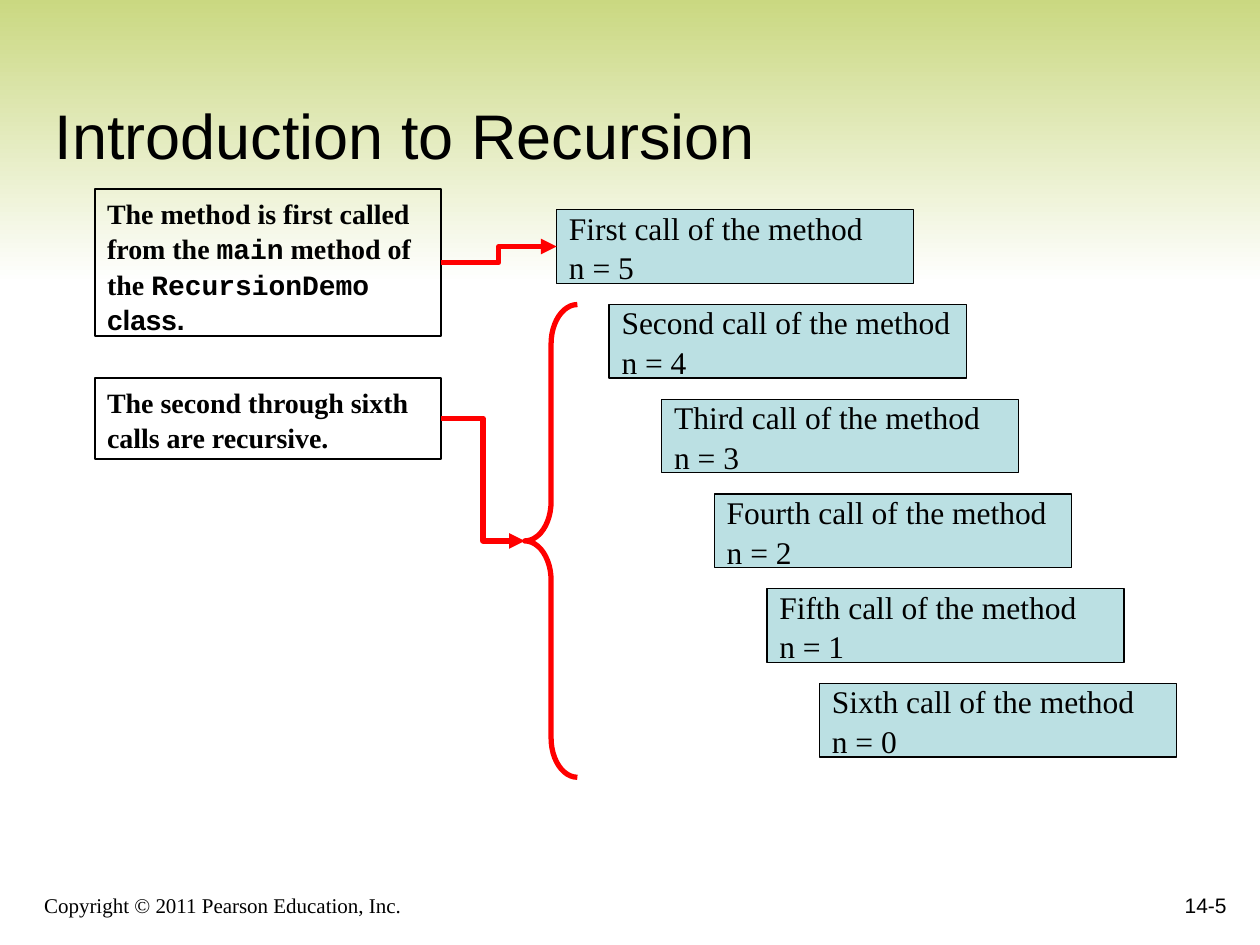
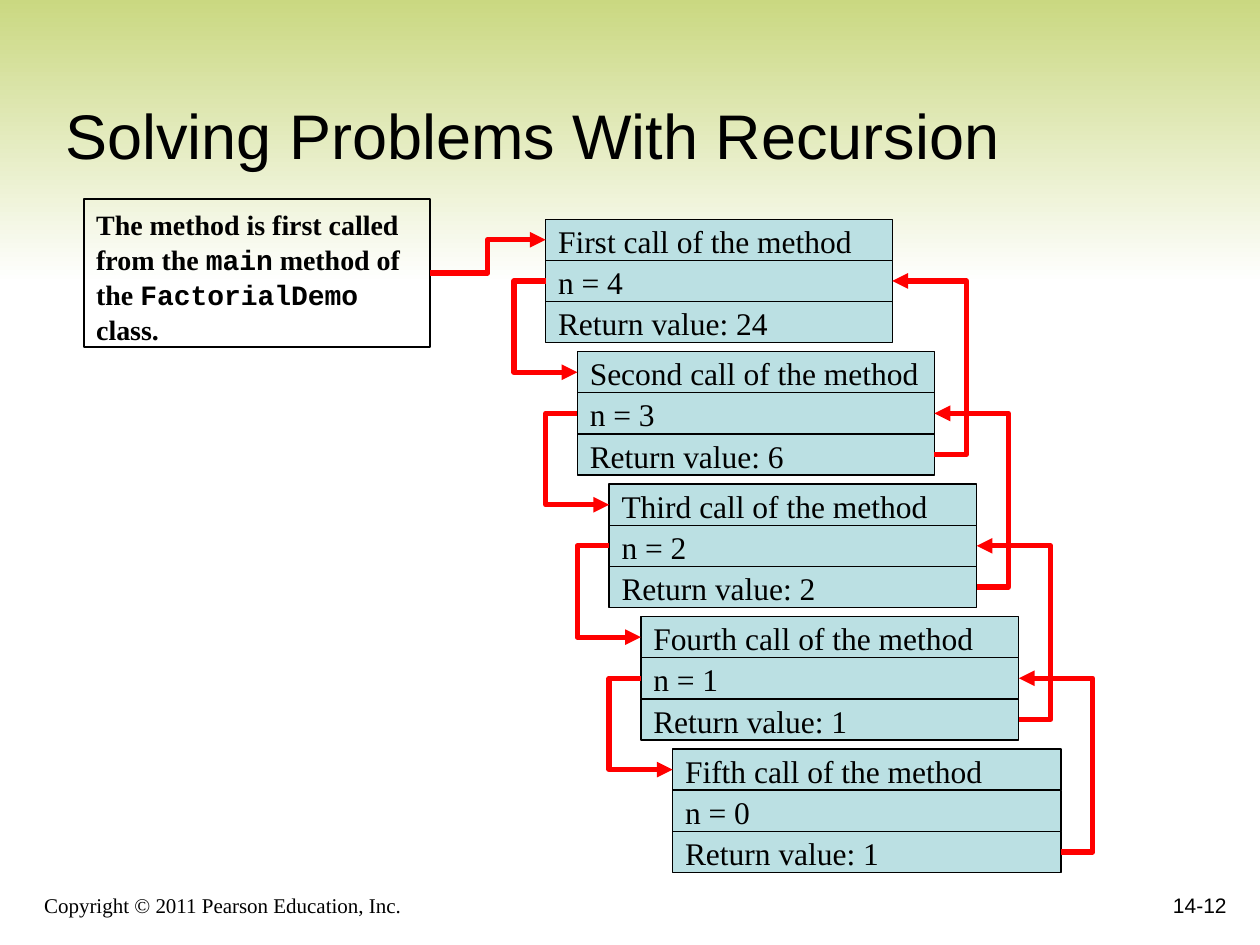
import collections
import dataclasses

import lxml.etree
import pptx
import pptx.dml.color
import pptx.enum.shapes
import pptx.enum.text
import pptx.oxml.ns
import pptx.util

Cm = pptx.util.Cm
Pt = pptx.util.Pt
RGB = pptx.dml.color.RGBColor.from_string
qn = pptx.oxml.ns.qn
SHAPES = pptx.enum.shapes.MSO_SHAPE
ANCHOR = pptx.enum.text.MSO_ANCHOR
ALIGN = pptx.enum.text.PP_ALIGN


@dataclasses.dataclass(frozen=True)
class Theme:
    ink: str = "000000"
    paper: str = "FFFFFF"
    band: str = "CAD881"
    call: str = "BBE0E3"
    arrow: str = "FF0000"
    serif: str = "Times New Roman"
    sans: str = "Arial"
    code: str = "Courier New"
    title_size: int = 36
    call_size: int = 18
    note_size: int = 16
    footer_size: int = 12
    call_line: float = 0.75
    note_line: float = 1
    arrow_line: float = 3
    spacing: float = 1.05


THEME = Theme()

Area = collections.namedtuple("Area", "left top width height")

COPYRIGHT = "Copyright © 2011 Pearson Education, Inc."
COPYRIGHT_AREA = Area(0.64, 17.57, 15.45, 1.06)
NUMBER_AREA = Area(19.69, 17.36, 5.29, 1.27)
BAND_AREA = Area(0, 0, 25.4, 5.72)

INTRO = {
    "title": "Introduction to Recursion",
    "title_area": Area(0.85, 0.85, 23.92, 2.75),
    "number": "14-5",
    "first_note": [[
        ("The method is first called from the ", THEME.serif),
        ("main", THEME.code),
        (" method of the ", THEME.serif),
        ("RecursionDemo ", THEME.code),
        ("class.", THEME.sans),
    ]],
    "first_note_area": Area(1.91, 3.81, 6.98, 2.97),
    "recursive_note": ["The second through sixth calls are recursive."],
    "recursive_note_area": Area(1.91, 7.62, 6.98, 1.63),
    "brace_area": Area(10.58, 6.14, 1.06, 9.53),
    "calls": [("First", 5), ("Second", 4), ("Third", 3),
              ("Fourth", 2), ("Fifth", 1), ("Sixth", 0)],
    "first_call_area": Area(11.22, 4.23, 7.2, 1.48),
    "step": (1.06, 1.91),
}

SOLVING = {
    "title": "Solving Problems With Recursion",
    "title_area": Area(1.06, 0.42, 22.65, 3.18),
    "number": "14-12",
    "first_note": [[
        ("The method is first called from the ", THEME.serif),
        ("main", THEME.code),
        (" method of the ", THEME.serif),
        ("FactorialDemo", THEME.code),
        (" class.", THEME.serif),
    ]],
    "first_note_area": Area(1.69, 4.02, 6.98, 2.97),
    "calls": [("First", 4, 24), ("Second", 3, 6), ("Third", 2, 2),
              ("Fourth", 1, 1), ("Fifth", 0, 1)],
    "first_row_area": Area(11, 4.42, 6.99, 0.83),
    "step": (0.64, 2.67),
    "widening": 0.21,
    "hook": 0.64,
}


def lengths(area):
    return [Cm(value) for value in area]


def left_middle(area):
    return area.left, area.top + area.height / 2


def right_middle(area):
    return area.left + area.width, area.top + area.height / 2


def write(shape, text, *, size, font=THEME.serif, bold=False,
          align=ALIGN.LEFT, anchor=ANCHOR.TOP, spacing=1.0):
    frame = shape.text_frame
    frame.word_wrap = True
    frame.auto_size = pptx.enum.text.MSO_AUTO_SIZE.NONE
    frame.vertical_anchor = anchor
    for index, content in enumerate(text):
        paragraph = frame.add_paragraph() if index else frame.paragraphs[0]
        paragraph.alignment = align
        paragraph.line_spacing = spacing
        pieces = [(content, font)] if isinstance(content, str) else content
        for words, face in pieces:
            run = paragraph.add_run()
            run.text = words
            run.font.name = face
            run.font.size = Pt(size)
            run.font.bold = bold
            run.font.color.rgb = RGB(THEME.ink)


def add_outlined(slide, kind, area, color, weight, fill=None):
    shape = slide.shapes.add_shape(kind, *lengths(area))
    shape.shadow.inherit = False
    if fill:
        shape.fill.solid()
        shape.fill.fore_color.rgb = RGB(fill)
    else:
        shape.fill.background()
    shape.line.color.rgb = RGB(color)
    shape.line.width = Pt(weight)
    return shape


def add_call(slide, area, text):
    call = add_outlined(slide, SHAPES.RECTANGLE, area, THEME.ink,
                        THEME.call_line, THEME.call)
    write(call, text, size=THEME.call_size, anchor=ANCHOR.MIDDLE,
          spacing=THEME.spacing)


def add_note(slide, area, text):
    note = add_outlined(slide, SHAPES.RECTANGLE, area, THEME.ink,
                        THEME.note_line)
    write(note, text, size=THEME.note_size, bold=True, spacing=THEME.spacing)


def add_arrow(slide, start, end, bend=None):
    arrow = slide.shapes.add_connector(
        pptx.enum.shapes.MSO_CONNECTOR.ELBOW, *lengths(start + end))
    arrow.line.color.rgb = RGB(THEME.arrow)
    arrow.line.width = Pt(THEME.arrow_line)
    properties = arrow.element.spPr
    outline = properties.find(qn("a:ln"))
    lxml.etree.SubElement(outline, qn("a:tailEnd"), type="triangle")
    lxml.etree.SubElement(properties, qn("a:effectLst"))
    if bend is not None:
        ratio = (bend - start[0]) / (end[0] - start[0])
        guides = properties.find(qn("a:prstGeom")).find(qn("a:avLst"))
        lxml.etree.SubElement(guides, qn("a:gd"), name="adj1",
                              fmla=f"val {round(ratio * 100000)}")


def dress_layout(layout, slide):
    band = slide.shapes.add_shape(SHAPES.RECTANGLE, *lengths(BAND_AREA))
    band.shadow.inherit = False
    band.line.fill.background()
    band.fill.gradient()
    band.fill.gradient_angle = 270
    for stop, color in zip(band.fill.gradient_stops, (THEME.band, THEME.paper)):
        stop.color.rgb = RGB(color)
    copyright_line = slide.shapes.add_textbox(*lengths(COPYRIGHT_AREA))
    write(copyright_line, [COPYRIGHT], size=THEME.footer_size,
          anchor=ANCHOR.BOTTOM)
    layout_tree = layout.shapes.element
    layout_tree.insert(2, band.element)
    layout_tree.append(copyright_line.element)


def start_slide(deck, layout, content):
    slide = deck.slides.add_slide(layout)
    title = slide.shapes.title
    title.left, title.top, title.width, title.height = lengths(
        content["title_area"])
    write(title, [content["title"]], size=THEME.title_size, font=THEME.sans,
          anchor=ANCHOR.BOTTOM)
    number = slide.shapes.add_textbox(*lengths(NUMBER_AREA))
    write(number, [content["number"]], size=THEME.footer_size,
          font=THEME.sans, align=ALIGN.RIGHT, anchor=ANCHOR.BOTTOM)
    add_note(slide, content["first_note_area"], content["first_note"])
    return slide


def build_intro(slide, content):
    first = content["first_call_area"]
    across, down = content["step"]
    for index, (ordinal, n) in enumerate(content["calls"]):
        area = first._replace(left=first.left + index * across,
                              top=first.top + index * down)
        add_call(slide, area, [f"{ordinal} call of the method", f"n = {n}"])
    add_note(slide, content["recursive_note_area"], content["recursive_note"])
    brace = add_outlined(slide, SHAPES.LEFT_BRACE, content["brace_area"],
                         THEME.arrow, THEME.arrow_line)
    brace.adjustments[0] = 0.75
    add_arrow(slide, right_middle(content["first_note_area"]),
              left_middle(first))
    add_arrow(slide, right_middle(content["recursive_note_area"]),
              left_middle(content["brace_area"]), bend=9.74)


def build_solving(slide, content):
    first = content["first_row_area"]
    across, down = content["step"]
    hook = content["hook"]
    stacks = []
    for index, (ordinal, n, value) in enumerate(content["calls"]):
        rows = [Area(first.left + index * across,
                     first.top + index * down + row * first.height,
                     first.width + index * content["widening"],
                     first.height) for row in range(3)]
        texts = (f"{ordinal} call of the method", f"n = {n}",
                 f"Return value: {value}")
        for area, text in zip(rows, texts):
            add_call(slide, area, [text])
        stacks.append(rows)
    add_arrow(slide, right_middle(content["first_note_area"]),
              left_middle(first))
    for caller, callee in zip(stacks, stacks[1:]):
        call_start = left_middle(caller[1])
        add_arrow(slide, call_start, left_middle(callee[0]),
                  bend=call_start[0] - hook)
        return_start = right_middle(callee[2])
        add_arrow(slide, return_start, right_middle(caller[1]),
                  bend=return_start[0] + hook)


def main():
    deck = pptx.Presentation()
    deck.slide_width, deck.slide_height = Cm(25.4), Cm(19.05)
    layout = deck.slide_layouts.get_by_name("Title Only")
    intro = start_slide(deck, layout, INTRO)
    dress_layout(layout, intro)
    build_intro(intro, INTRO)
    build_solving(start_slide(deck, layout, SOLVING), SOLVING)
    deck.save("out.pptx")


if __name__ == "__main__":
    main()
